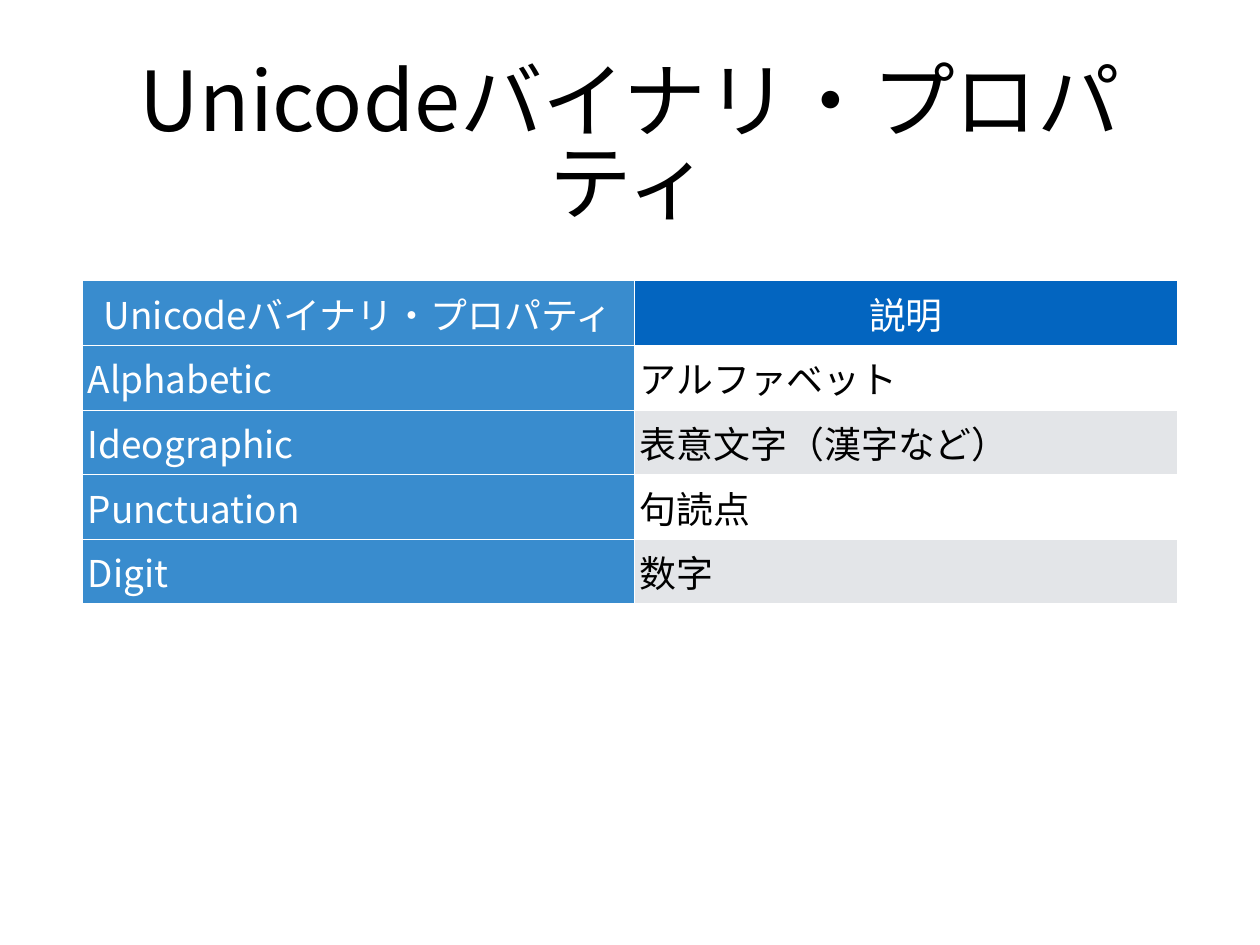
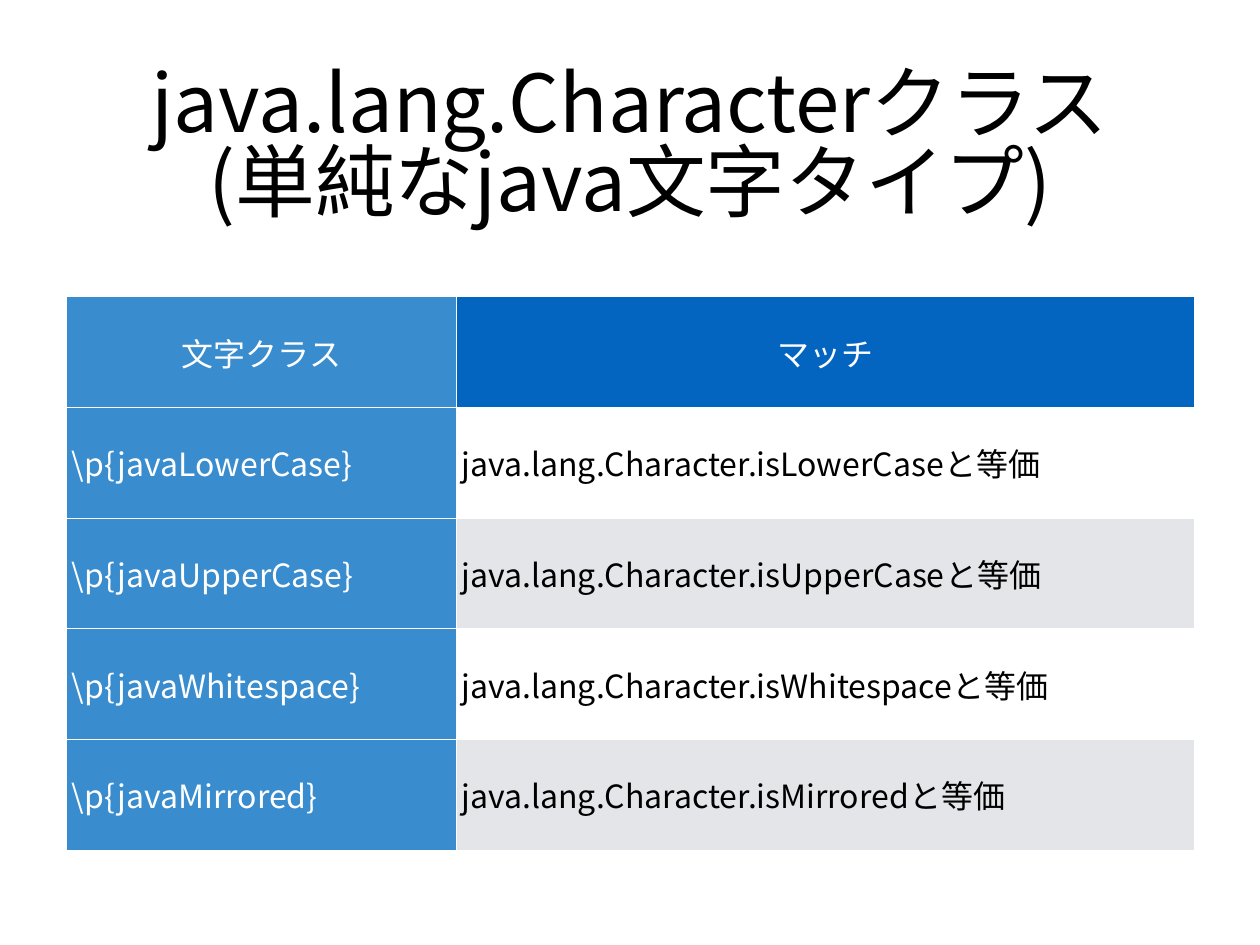
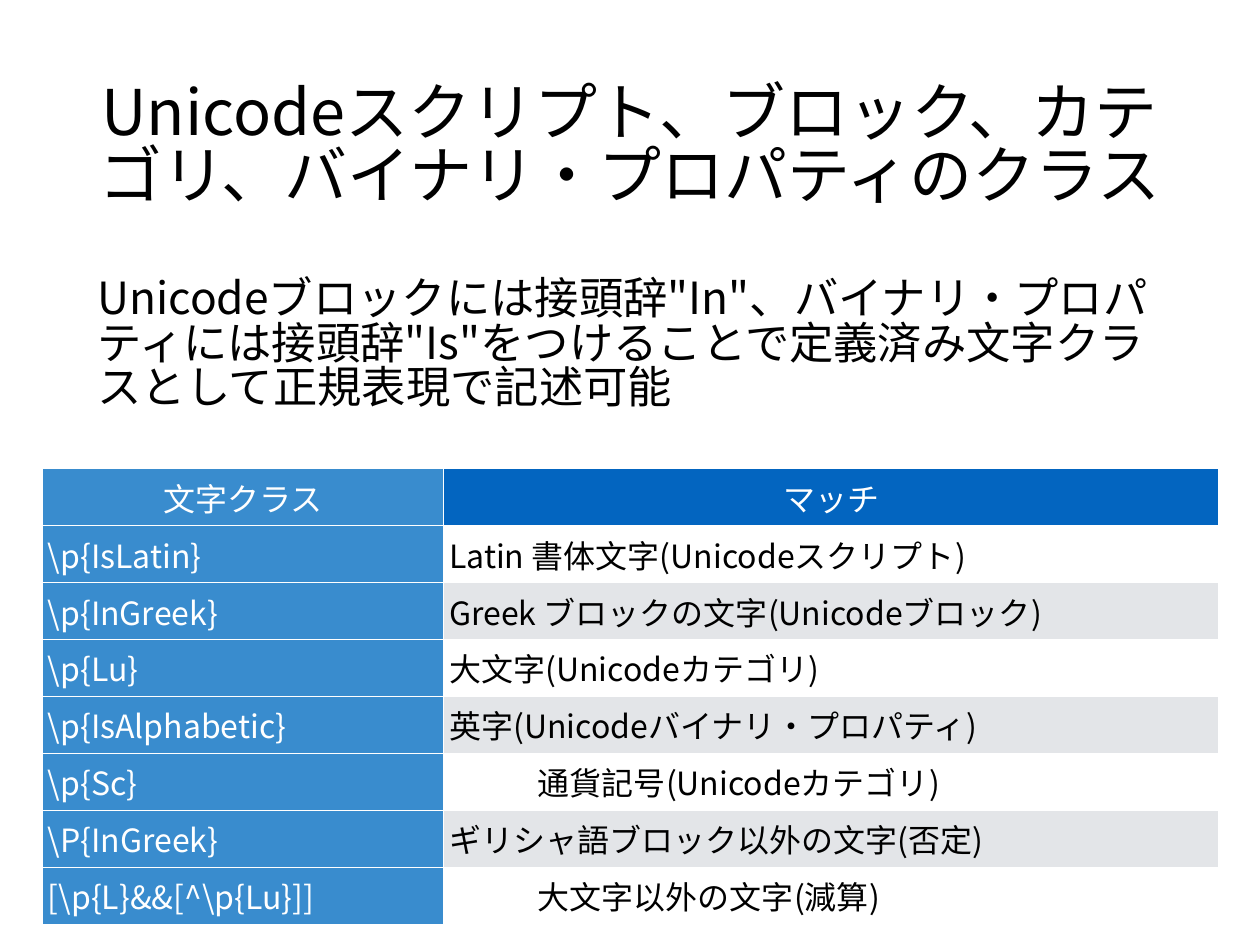
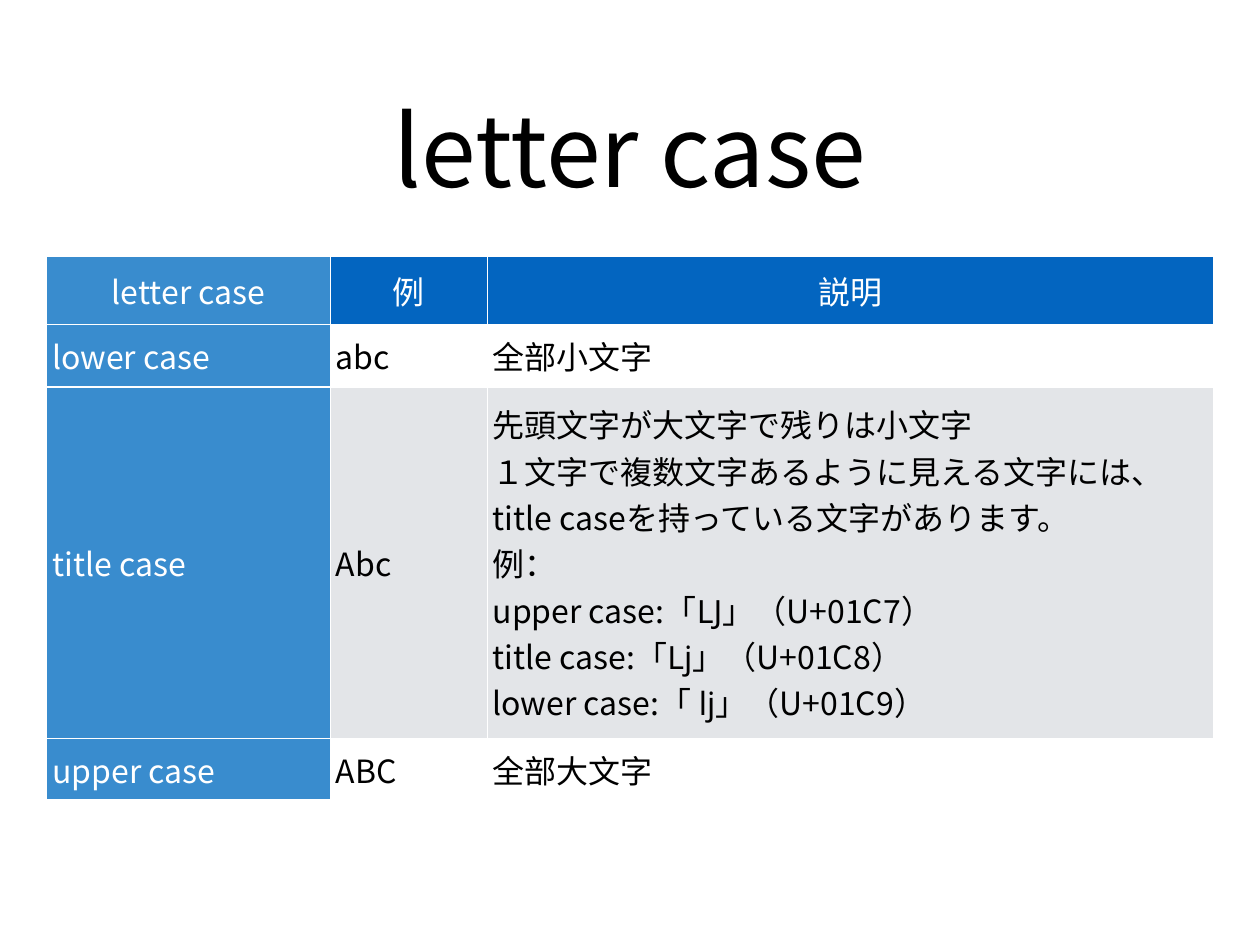
from dataclasses import dataclass

from lxml.etree import SubElement
from pptx import Presentation
from pptx.dml.color import RGBColor
from pptx.enum.text import MSO_ANCHOR, MSO_AUTO_SIZE, PP_ALIGN
from pptx.oxml.ns import qn
from pptx.util import Inches, Pt


@dataclass(frozen=True)
class Theme:
    font: str = "Noto Sans CJK JP"
    ink: str = "000000"
    white: str = "FFFFFF"
    head: str = "0365C0"
    side: str = "398CCE"
    band: str = "E3E5E8"
    body: float = 36
    cell: float = 26
    pad: float = 0.06
    tight: float = 0.83  # line spacing of wrapped text
    title_box: tuple = (1.04, 0.49, 12.14, 2.36)
    body_box: tuple = (1.04, 2.85, 12.14, 2.11)


THEME = Theme()


def style(frame, size, color, align=PP_ALIGN.LEFT, spacing=1.0):
    """Format every paragraph and run of a text frame."""
    for para in frame.paragraphs:
        para.alignment = align
        para.line_spacing = spacing
        for run in para.runs:
            run.font.size = Pt(size)
            run.font.name = THEME.font
            run.font.color.rgb = RGBColor.from_string(color)
            east = SubElement(run.font._element, qn("a:ea"))
            east.set("typeface", THEME.font)


def pad(item):
    """Give a text frame or a table cell the shared margins."""
    item.margin_left = item.margin_right = Inches(THEME.pad)
    item.margin_top = item.margin_bottom = Inches(THEME.pad)
    item.vertical_anchor = MSO_ANCHOR.MIDDLE


def fill_text(shape, text, size, align, spacing):
    frame = shape.text_frame
    frame.text = text
    frame.word_wrap = True
    frame.auto_size = MSO_AUTO_SIZE.NONE
    pad(frame)
    style(frame, size, THEME.ink, align, spacing)


def add_page(deck, title, size, spacing=THEME.tight):
    """Add a slide with its centred title."""
    slide = deck.slides.add_slide(deck.slide_layouts[5])
    shape = slide.shapes.title
    shape.left, shape.top, shape.width, shape.height = map(Inches, THEME.title_box)
    fill_text(shape, title, size, PP_ALIGN.CENTER, spacing)
    return slide


def add_body(slide, text, box):
    shape = slide.shapes.add_textbox(*map(Inches, box))
    fill_text(shape, text, THEME.body, PP_ALIGN.LEFT, THEME.tight)


def cell_look(row, col):
    """Return the fill and text colour for a place in the grid."""
    if col == 0:
        return THEME.side, THEME.white
    if row == 0:
        return THEME.head, THEME.white
    return (THEME.white if row % 2 else THEME.band), THEME.ink


def add_grid(slide, at, cols, rows, data, size=THEME.cell, indent=()):
    """Place a table; indent lists the (row, column) cells set in by an inch."""
    box = (*at, sum(cols), sum(rows))
    table = slide.shapes.add_table(len(rows), len(cols), *map(Inches, box)).table
    for col, width in zip(table.columns, cols):
        col.width = Inches(width)
    for row, height in zip(table.rows, rows):
        row.height = Inches(height)
    for r, texts in enumerate(data):
        for c, text in enumerate(texts):
            cell = table.cell(r, c)
            fill, ink = cell_look(r, c)
            cell.text = text
            cell.fill.solid()
            cell.fill.fore_color.rgb = RGBColor.from_string(fill)
            pad(cell)
            style(cell.text_frame, size, ink, PP_ALIGN.LEFT if r else PP_ALIGN.CENTER)
            if (r, c) in indent:
                props = cell.text_frame.paragraphs[0]._p.get_or_add_pPr()
                props.set("marL", str(Inches(1)))


def binary_page(deck):
    name = "Unicodeバイナリ・プロパティ"
    slide = add_page(deck, name, 67.2)
    add_grid(slide, (0.93, 3.17), (6.23, 6.13), [0.73] * 5, [
        (name, "説明"),
        ("Alphabetic", "アルファベット"),
        ("Ideographic", "表意文字（漢字など）"),
        ("Punctuation", "句読点"),
        ("Digit", "数字"),
    ], size=30)


def java_page(deck):
    slide = add_page(deck, "java.lang.Characterクラス\n(単純なjava文字タイプ)", 64.8)
    kinds = ("LowerCase", "UpperCase", "Whitespace", "Mirrored")
    data = [("文字クラス", "マッチ")]
    data += [(rf"\p{{java{kind}}}", f"java.lang.Character.is{kind}と等価") for kind in kinds]
    add_grid(slide, (0.75, 3.35), (4.4, 8.33), [1.25] * 5, data)


def script_page(deck):
    slide = add_page(
        deck, "Unicodeスクリプト、ブロック、カテゴリ、バイナリ・プロパティのクラス", 51.2)
    add_body(slide, 'Unicodeブロックには接頭辞"In"、バイナリ・プロパティには接頭辞"Is"を'
                    "つけることで定義済み文字クラスとして正規表現で記述可能", THEME.body_box)
    add_grid(slide, (0.48, 5.29), (4.53, 8.74), [0.64] * 8, [
        ("文字クラス", "マッチ"),
        (r"\p{IsLatin}", "Latin 書体文字(Unicodeスクリプト)"),
        (r"\p{InGreek}", "Greek ブロックの文字(Unicodeブロック)"),
        (r"\p{Lu}", "大文字(Unicodeカテゴリ)"),
        (r"\p{IsAlphabetic}", "英字(Unicodeバイナリ・プロパティ)"),
        (r"\p{Sc}", "通貨記号(Unicodeカテゴリ)"),
        (r"\P{InGreek}", "ギリシャ語ブロック以外の文字(否定)"),
        (r"[\p{L}&&[^\p{Lu}]]", "大文字以外の文字(減算)"),
    ], indent={(5, 1), (7, 1)})


def case_page(deck):
    slide = add_page(deck, "letter case", 80, spacing=1.0)
    note = "\n".join((
        "先頭文字が大文字で残りは小文字",
        "１文字で複数文字あるように見える文字には、",
        "title caseを持っている文字があります。",
        "例：",
        "upper case:「Ǉ」（U+01C7）",
        "title case:「ǈ」（U+01C8）",
        "lower case:「 ǉ」（U+01C9）",
    ))
    add_grid(slide, (0.53, 2.9), (3.2, 1.77, 8.2), (0.76, 0.71, 3.97, 0.69), [
        ("letter case", "例", "説明"),
        ("lower case", "abc", "全部小文字"),
        ("title case", "Abc", note),
        ("upper case", "ABC", "全部大文字"),
    ])


def main():
    deck = Presentation()
    deck.slide_width, deck.slide_height = Inches(14.22), Inches(10.67)
    for page in (binary_page, java_page, script_page, case_page):
        page(deck)
    deck.save("out.pptx")


if __name__ == "__main__":
    main()
